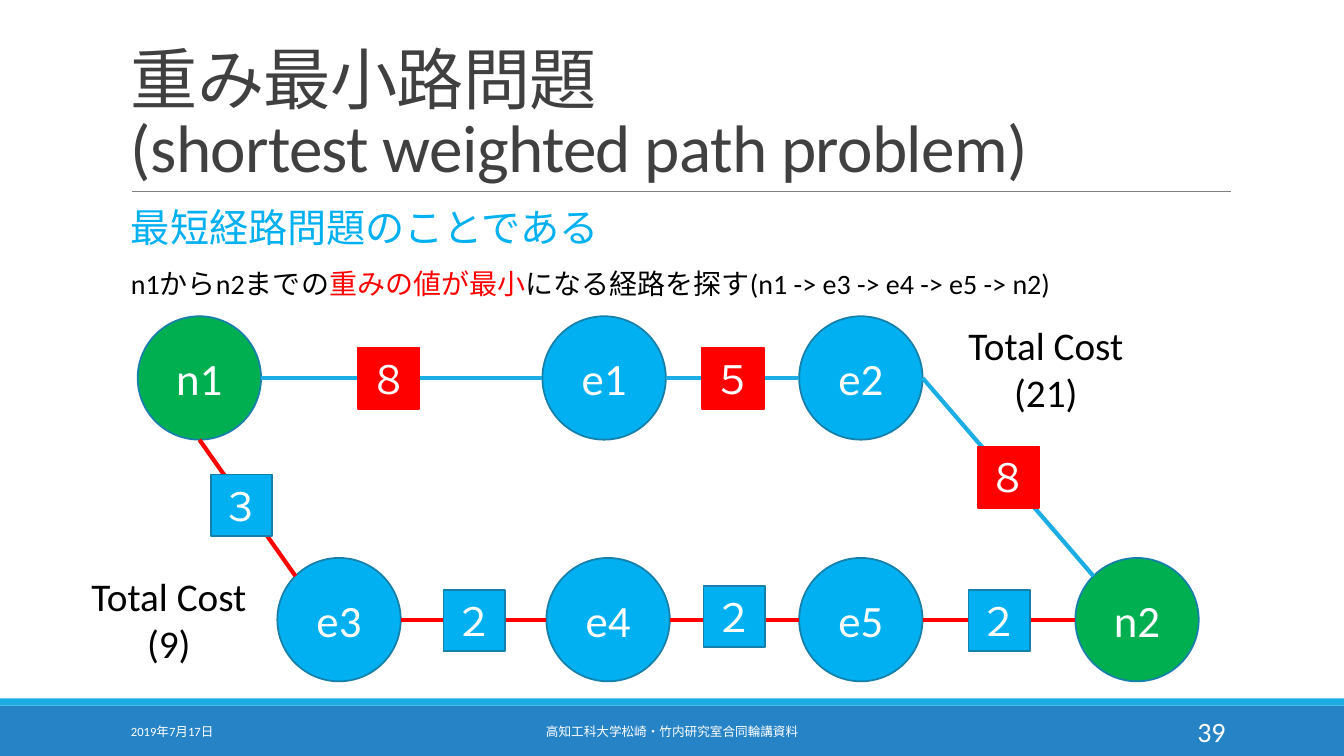
"""Build a slide comparing the weights of two routes through a graph."""
import dataclasses
import math

import lxml.etree
import pptx
import pptx.dml.color
import pptx.enum.shapes
import pptx.enum.text
import pptx.oxml.ns
import pptx.util

Cm = pptx.util.Cm
Pt = pptx.util.Pt
Shape = pptx.enum.shapes.MSO_SHAPE
Align = pptx.enum.text.PP_ALIGN
Anchor = pptx.enum.text.MSO_ANCHOR


@dataclasses.dataclass(frozen=True)
class Theme:
    font: str = "Calibri"
    white: str = "FFFFFF"
    black: str = "000000"
    heading: str = "404040"
    rule: str = "808080"
    footer: str = "2683C6"
    accent: str = "1CADE4"
    outline: str = "1580A9"
    blue: str = "00B0F0"
    green: str = "00B050"
    red: str = "FF0000"
    title_size: int = 48
    node_size: int = 32
    large_size: int = 28
    body_size: int = 20
    footer_size: int = 9


class SlideBuilder:
    """Add styled elements to one slide."""

    def __init__(self, slide, theme):
        self.shapes = slide.shapes
        self.theme = theme

    def color(self, value):
        return pptx.dml.color.RGBColor.from_string(value)

    def style(self, run, size, color):
        run.font.name = self.theme.font
        run.font.size = Pt(size)
        run.font.color.rgb = self.color(color)

    def text(self, place, lines, size, color, align=Align.LEFT,
             anchor=Anchor.TOP, wrap=True):
        """Add a text box whose lines are strings or lists of (words, color)."""
        frame = self.shapes.add_textbox(*map(Cm, place)).text_frame
        frame.word_wrap = wrap
        frame.vertical_anchor = anchor
        for index, line in enumerate(lines):
            paragraph = frame.add_paragraph() if index else frame.paragraphs[0]
            paragraph.alignment = align
            if isinstance(line, str):
                line = [(line, color)]
            for words, words_color in line:
                run = paragraph.add_run()
                run.text = words
                self.style(run, size, words_color)
        return frame

    def title(self, place, words):
        frame = self.text(place, [], self.theme.title_size, self.theme.heading,
                          anchor=Anchor.BOTTOM)
        frame.text = words
        paragraph = frame.paragraphs[0]
        paragraph.line_spacing = 0.85
        for run in paragraph.runs:
            self.style(run, self.theme.title_size, self.theme.heading)
            run.font._element.set("spc", "-50")

    def block(self, kind, place, fill, outline=None, label="", size=0):
        block = self.shapes.add_shape(kind, *map(Cm, place))
        block.shadow.inherit = False
        block.fill.solid()
        block.fill.fore_color.rgb = self.color(fill)
        if outline:
            block.line.color.rgb = self.color(outline)
            block.line.width = Pt(1.25)
        else:
            block.line.fill.background()
        if label:
            frame = block.text_frame
            frame.text = label
            frame.vertical_anchor = Anchor.MIDDLE
            frame.paragraphs[0].alignment = Align.CENTER
            self.style(frame.paragraphs[0].runs[0], size, self.theme.white)

    def line(self, start, end, color, width):
        line = self.shapes.add_connector(
            pptx.enum.shapes.MSO_CONNECTOR.STRAIGHT, *map(Cm, (*start, *end)))
        line.line.color.rgb = self.color(color)
        line.line.width = Pt(width)
        lxml.etree.SubElement(line._element.spPr, pptx.oxml.ns.qn("a:effectLst"))


THEME = Theme()
NODE = 3.11
WEIGHT = 1.55
TOP_ROW, BOTTOM_ROW = 7.97, 14.06
NODES = {
    "n1": (3.47, TOP_ROW, THEME.green),
    "n2": (27.1, BOTTOM_ROW, THEME.green),
    "e3": (6.99, BOTTOM_ROW, THEME.blue),
    "e2": (20.14, TOP_ROW, THEME.blue),
    "e1": (13.67, TOP_ROW, THEME.blue),
    "e4": (13.77, BOTTOM_ROW, THEME.blue),
    "e5": (20.14, BOTTOM_ROW, THEME.blue),
}
RIGHT, BOTTOM, LEFT, UPPER_LEFT = 0, 90, 180, 225
EDGES = [
    ("n1", RIGHT, "e1", LEFT, THEME.accent),
    ("n1", BOTTOM, "e3", UPPER_LEFT, THEME.red),
    ("e1", RIGHT, "e2", LEFT, THEME.accent),
    ("e2", RIGHT, "n2", UPPER_LEFT, THEME.accent),
    ("e3", RIGHT, "e4", LEFT, THEME.red),
    ("e4", RIGHT, "e5", LEFT, THEME.red),
    ("e5", RIGHT, "n2", LEFT, THEME.red),
]
COSTLY = (THEME.red, THEME.red)
CHEAP = (THEME.blue, THEME.outline)
WEIGHTS = [
    ("８", 9.02, 8.76, COSTLY),
    ("５", 17.7, 8.76, COSTLY),
    ("８", 24.64, 11.25, COSTLY),
    ("３", 5.31, 11.96, CHEAP),
    ("２", 11.18, 14.86, CHEAP),
    ("２", 17.73, 14.76, CHEAP),
    ("２", 24.41, 14.86, CHEAP),
]
FOOTERS = [
    ((3.05, 17.93, 6.86, 1.02), "2019年7月17日", THEME.footer_size, Align.LEFT),
    ((10.24, 17.93, 13.39, 1.02), "高知工科大学松崎・竹内研究室合同輪講資料",
     THEME.footer_size, Align.CENTER),
    ((27.51, 17.93, 3.63, 1.02), "39", THEME.body_size, Align.RIGHT),
]
TOTALS = [(2.03, 14.3, "(9)"), (24.13, 7.97, "(21)")]


def rim(node, degrees):
    """Return the point on a node's rim at a clockwise angle from its right."""
    left, top, _ = NODES[node]
    angle, radius = math.radians(degrees), NODE / 2
    return (left + radius * (1 + math.cos(angle)),
            top + radius * (1 + math.sin(angle)))


def main():
    deck = pptx.Presentation()
    deck.slide_width, deck.slide_height = Cm(33.87), Cm(19.05)
    builder = SlideBuilder(deck.slides.add_slide(deck.slide_layouts[6]), THEME)

    builder.block(Shape.RECTANGLE, (0, 17.78, 33.87, 1.27), THEME.footer)
    builder.block(Shape.RECTANGLE, (0, 17.6, 33.87, 0.18), THEME.accent)
    builder.line((3.33, 4.83), (31.01, 4.83), THEME.rule, 0.5)
    builder.title((3.05, 0.79, 27.94, 4.04),
                  "重み最小路問題\v(shortest weighted path problem)")

    body = builder.text((3.05, 5.13, 27.94, 11.18), [
        "最短経路問題のことである",
        [("n1からn2までの", THEME.black), ("重みの値が最小", THEME.red),
         ("になる経路を探す(n1 -> e3 -> e4 -> e5 -> n2)", THEME.black)],
    ], THEME.body_size, THEME.blue)
    body.paragraphs[0].runs[0].font.size = Pt(THEME.large_size)
    body.paragraphs[1].space_before = Pt(12)
    for paragraph in body.paragraphs:
        paragraph.line_spacing = 0.9
        paragraph.space_after = Pt(2)

    for place, words, size, align in FOOTERS:
        builder.text(place, [words], size, THEME.white, align, Anchor.MIDDLE)
    for name, (left, top, fill) in NODES.items():
        builder.block(Shape.OVAL, (left, top, NODE, NODE), fill, THEME.outline,
                      name, THEME.node_size)
    for source, leaving, target, arriving, color in EDGES:
        builder.line(rim(source, leaving), rim(target, arriving), color, 3)
    for weight, left, top, colors in WEIGHTS:
        builder.block(Shape.RECTANGLE, (left, top, WEIGHT, WEIGHT), *colors,
                      weight, THEME.large_size)
    for left, top, cost in TOTALS:
        builder.text((left, top, 4.45, 2.64), ["Total Cost", cost],
                     THEME.large_size, THEME.black, Align.CENTER, wrap=False)
    deck.save("out.pptx")


if __name__ == "__main__":
    main()
